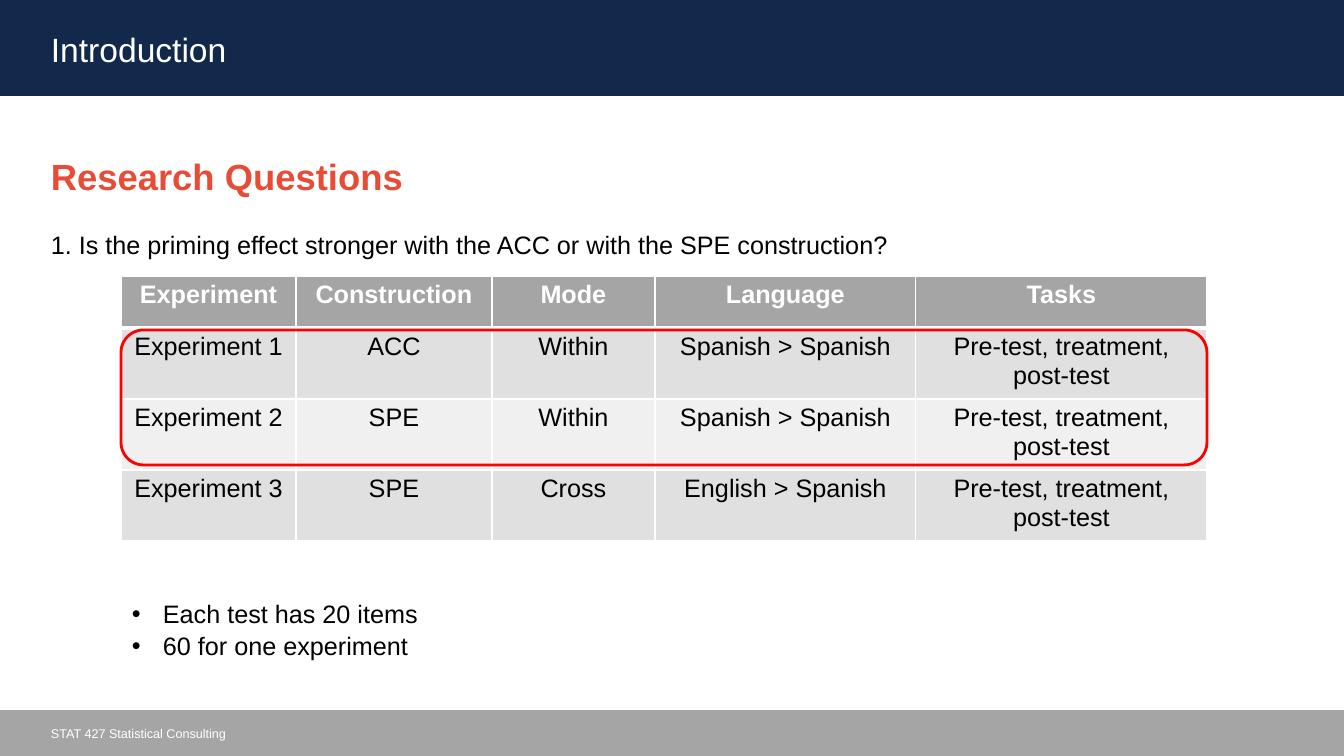
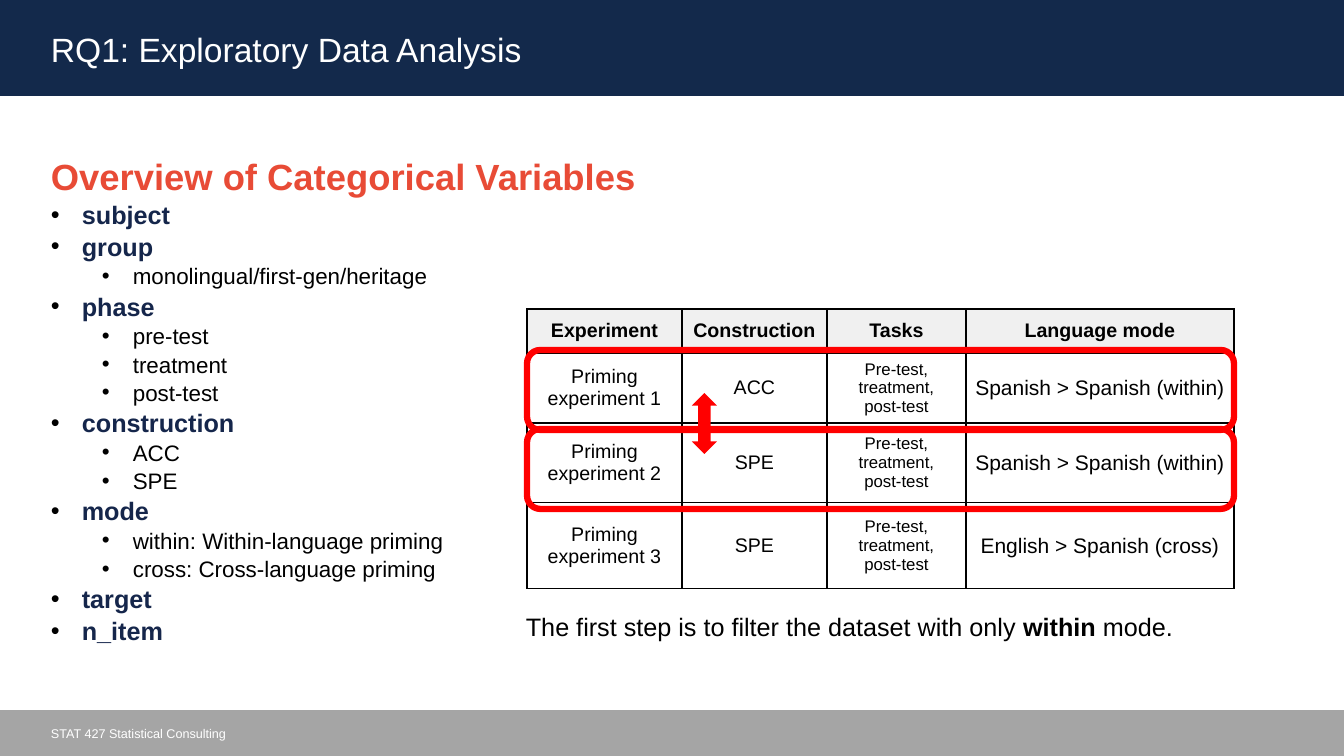
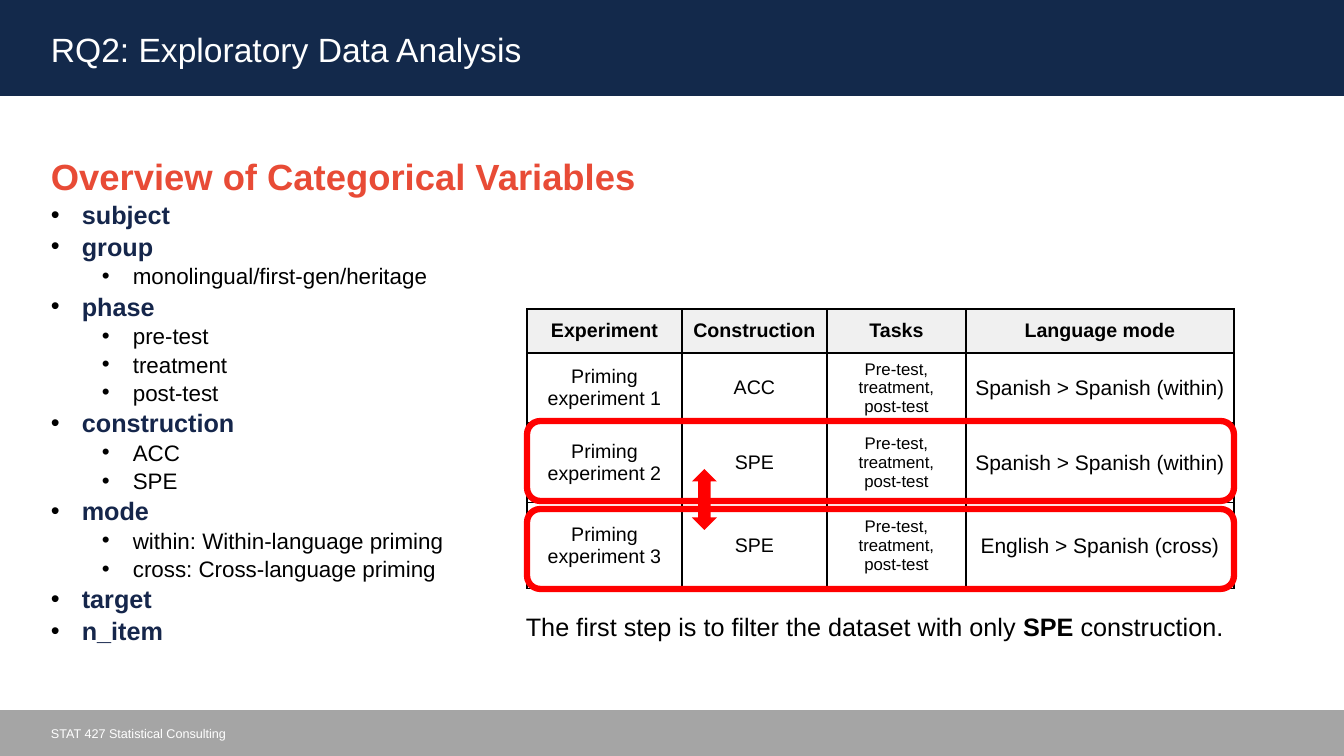
from dataclasses import dataclass
from lxml import etree
from pptx import Presentation, util as u
from pptx.dml.color import RGBColor
from pptx.enum import shapes, text
from pptx.oxml.ns import qn

SCALE = 914400 / 100.8
WIDTH, HEIGHT = 1344, 756


@dataclass(frozen=True)
class Theme:
    font: str = "Arial"
    navy: str = "13294B"
    term: str = "15264B"
    orange: str = "E84B36"
    gray: str = "A5A5A5"
    band: str = "E0E0E0"
    pale: str = "F0F0F0"
    red: str = "FF0000"
    black: str = "000000"
    white: str = "FFFFFF"
    title: int = 24
    heading: int = 26
    body: int = 18
    detail: int = 16
    mode: int = 15
    cell: int = 14
    task: int = 12
    footer: int = 9
    spacing: float = 1.05


THEME = Theme()
FOOTER = "STAT 427 Statistical Consulting"
TABLE_LEFT, HIGHLIGHT_WIDTH, HIGHLIGHT_HEIGHT = 527, 707, 80

QUESTION = "1. Is the priming effect stronger with the ACC or with the SPE construction?"
DESIGN = [
    ("Experiment", "Construction", "Mode", "Language", "Tasks"),
    ("Experiment 1", "ACC", "Within", "Spanish > Spanish", "Pre-test, treatment, post-test"),
    ("Experiment 2", "SPE", "Within", "Spanish > Spanish", "Pre-test, treatment, post-test"),
    ("Experiment 3", "SPE", "Cross", "English > Spanish", "Pre-test, treatment, post-test"),
]
TEST_FACTS = ["Each test has 20 items", "60 for one experiment"]

VARIABLES = [
    ("subject", []),
    ("group", ["monolingual/first-gen/heritage"]),
    ("phase", ["pre-test", "treatment", "post-test"]),
    ("construction", ["ACC", "SPE"]),
    ("mode", ["within: Within-language priming", "cross: Cross-language priming"]),
    ("target", []),
    ("n_item", []),
]
PRIMING = [
    ("Experiment", "Construction", "Tasks", "Language mode"),
    ("Priming experiment 1", "ACC", "Pre-test, treatment,\npost-test", "Spanish > Spanish (within)"),
    ("Priming experiment 2", "SPE", "Pre-test, treatment,\npost-test", "Spanish > Spanish (within)"),
    ("Priming experiment 3", "SPE", "Pre-test, treatment,\npost-test", "English > Spanish (cross)"),
]
EXPLORATIONS = [
    {"title": "RQ1: Exploratory Data Analysis", "filter": "within", "rest": " mode.",
     "highlights": (350, 429), "arrow": 393},
    {"title": "RQ2: Exploratory Data Analysis", "filter": "SPE", "rest": " construction.",
     "highlights": (421, 509), "arrow": 469},
]


def px(*lengths):
    return [u.Emu(round(length * SCALE)) for length in lengths]


def color(value):
    return RGBColor.from_string(value)


def add_span(para, words, size, ink=THEME.black, bold=False):
    span = para.add_run()
    span.text = words
    span.font.name = THEME.font
    span.font.size = u.Pt(size)
    span.font.bold = bold
    span.font.color.rgb = color(ink)


def add_bullet(para, level):
    props = para._p.get_or_add_pPr()
    margin, hang = px(31 + 51 * level, -31)
    props.set("marL", str(margin))
    props.set("indent", str(hang))
    tint = etree.SubElement(props, qn("a:buClr"))
    etree.SubElement(tint, qn("a:srgbClr"), val=THEME.black)
    etree.SubElement(props, qn("a:buFont"), typeface=THEME.font)
    etree.SubElement(props, qn("a:buChar"), char="•")


def add_text(page, place, lines):
    box = page.shapes.add_textbox(*px(*place))
    frame = box.text_frame
    frame.word_wrap = True
    for index, line in enumerate(lines):
        para = frame.paragraphs[0] if index == 0 else frame.add_paragraph()
        para.line_spacing = THEME.spacing
        if "before" in line:
            para.space_before = u.Pt(line["before"])
        if "level" in line:
            add_bullet(para, line["level"])
        for span in line["spans"]:
            add_span(para, *span)


def add_figure(page, kind, place, fill=None, line=None, weight=0):
    figure = page.shapes.add_shape(kind, *px(*place))
    figure.shadow.inherit = False
    if fill:
        figure.fill.solid()
        figure.fill.fore_color.rgb = color(fill)
    else:
        figure.fill.background()
    if line:
        figure.line.color.rgb = color(line)
        figure.line.width = u.Pt(weight)
    else:
        figure.line.fill.background()


def add_highlight(page, place, weight):
    add_figure(page, shapes.MSO_SHAPE.ROUNDED_RECTANGLE, place, line=THEME.red, weight=weight)


def set_borders(cell, ink, bottom):
    props = cell._tc.get_or_add_tcPr()
    for index, side in enumerate("LRTB"):
        weight = bottom if side == "B" else 1
        border = etree.Element(qn("a:ln" + side), w=str(u.Pt(weight)))
        fill = etree.SubElement(border, qn("a:solidFill"))
        etree.SubElement(fill, qn("a:srgbClr"), val=ink)
        props.insert(index, border)


def add_grid(page, corner, widths, heights, rows, style):
    place = (*corner, sum(widths), sum(heights))
    grid = page.shapes.add_table(len(rows), len(widths), *px(*place)).table
    grid.horz_banding = False
    for column, width in zip(grid.columns, px(*widths)):
        column.width = width
    for row, height in zip(grid.rows, px(*heights)):
        row.height = height
    side, top = px(*style["margins"])
    for r, row in enumerate(rows):
        for c, words in enumerate(row):
            cell = grid.cell(r, c)
            cell.margin_left = cell.margin_right = side
            cell.margin_top = cell.margin_bottom = top
            cell.vertical_anchor = style["anchor"]
            cell.fill.solid()
            cell.fill.fore_color.rgb = color(style["fills"][r])
            set_borders(cell, style["border"], style["rule"] if r == 0 else 1)
            size = style["sizes"][c] if r else style["sizes"][0]
            ink = THEME.black if r else style["header"]
            for index, line in enumerate(words.split("\n")):
                frame = cell.text_frame
                para = frame.paragraphs[0] if index == 0 else frame.add_paragraph()
                para.alignment = text.PP_ALIGN.CENTER
                add_span(para, line, size, ink, r == 0)


def add_page(deck, title, heading, lines):
    page = deck.slides.add_slide(deck.slide_layouts[6])
    for top, height, fill in ((0, 96, THEME.navy), (710, 46, THEME.gray)):
        add_figure(page, shapes.MSO_SHAPE.RECTANGLE, (0, top, WIDTH, height), fill=fill)
    add_text(page, (41, 22, 1203, 50), [{"spans": [(title, THEME.title, THEME.white)]}])
    add_text(page, (41, 720, 881, 25), [{"spans": [(FOOTER, THEME.footer, THEME.white)]}])
    first = {"spans": [(heading, THEME.heading, THEME.orange, True)]}
    add_text(page, (41, 147, 1232, 531), [first] + lines)
    return page


def add_introduction(deck):
    question = {"before": 21.7, "spans": [(QUESTION, THEME.body)]}
    page = add_page(deck, "Introduction", "Research Questions", [question])
    style = {"margins": (10, 5), "anchor": text.MSO_ANCHOR.TOP, "border": THEME.white,
             "rule": 3, "header": THEME.white, "sizes": [THEME.body] * 5,
             "fills": (THEME.gray, THEME.band, THEME.pale, THEME.band)}
    add_grid(page, (121, 276), (175, 196, 163, 261, 291), (52, 71, 71, 71), DESIGN, style)
    facts = [{"level": 1, "spans": [(fact, THEME.body)]} for fact in TEST_FACTS]
    add_text(page, (71, 592, 672, 78), facts)
    add_highlight(page, (121, 330, 1086, 135), 2)


def add_exploration(deck, topic):
    lines = []
    for name, values in VARIABLES:
        lines.append({"level": 0, "spans": [(name, THEME.body, THEME.term, True)]})
        lines += [{"level": 1, "spans": [(value, THEME.detail)]} for value in values]
    page = add_page(deck, topic["title"], "Overview of Categorical Variables", lines)
    style = {"margins": (1, 1), "anchor": text.MSO_ANCHOR.MIDDLE, "border": THEME.black,
             "rule": 1, "header": THEME.black,
             "sizes": (THEME.cell, THEME.cell, THEME.task, THEME.mode),
             "fills": (THEME.pale, THEME.white, THEME.white, THEME.white)}
    add_grid(page, (TABLE_LEFT, 309), (155, 145, 139, 268), (44, 70, 80, 86), PRIMING, style)
    for top in topic["highlights"]:
        add_highlight(page, (TABLE_LEFT, top, HIGHLIGHT_WIDTH, HIGHLIGHT_HEIGHT), 4.5)
    add_figure(page, shapes.MSO_SHAPE.UP_DOWN_ARROW, (692, topic["arrow"], 25, 61), fill=THEME.red)
    step = [("The first step is to filter the dataset with only ", THEME.body),
            (topic["filter"], THEME.body, THEME.black, True), (topic["rest"], THEME.body)]
    add_text(page, (516, 605, 815, 40), [{"spans": step}])


def main():
    deck = Presentation()
    deck.slide_width, deck.slide_height = px(WIDTH, HEIGHT)
    add_introduction(deck)
    for topic in EXPLORATIONS:
        add_exploration(deck, topic)
    deck.save("out.pptx")


if __name__ == "__main__":
    main()
